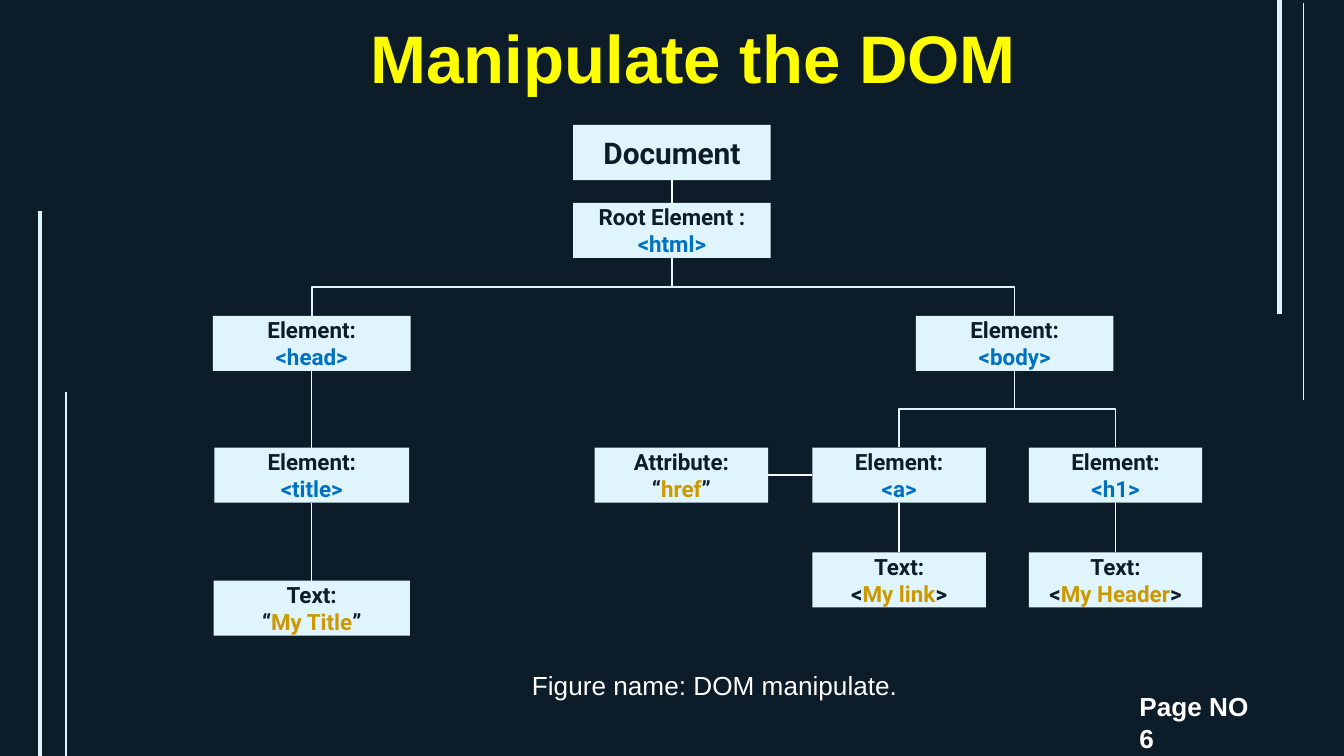
from dataclasses import dataclass

from lxml import etree
from pptx import Presentation
from pptx.dml.color import RGBColor
from pptx.enum import shapes, text
from pptx.oxml.ns import qn
from pptx.util import Inches, Pt


@dataclass(frozen=True)
class Theme:
    back: str = "0C1C29"
    pale: str = "E0F4FB"
    link: str = "F9F9F9"
    tag: str = "0070C0"
    value: str = "CC9900"
    head: str = "FFFF00"
    white: str = "FFFFFF"
    title: int = 36
    root: int = 16
    note: int = 14
    node: int = 12
    sans: str = "Arial"
    label: str = "Roboto"
    thick: float = 2.25
    thin: float = 0.75


T = Theme()
BOTTOM, LEFT, TOP, RIGHT = 2, 1, 0, 3
HIGH = 0.41

# name: (centre x, top, width, label, opening mark, coloured word, closing mark)
NODES = {
    "doc": (3.41, 0, 1.47, "Document", "", "", ""),
    "html": (3.41, 0.58, 1.47, "Root Element :", "", "<html>", ""),
    "head": (0.73, 1.42, 1.47, "Element:", "", "<head>", ""),
    "body": (5.96, 1.42, 1.47, "Element:", "", "<body>", ""),
    "title": (0.73, 2.4, 1.45, "Element:", "", "<title>", ""),
    "href": (3.48, 2.4, 1.29, "Attribute:", "“", "href", "”"),
    "a": (5.1, 2.4, 1.29, "Element:", "", "<a>", ""),
    "h1": (6.71, 2.4, 1.29, "Element:", "", "<h1>", ""),
    "name": (0.73, 3.39, 1.46, "Text:", "“", "My Title", "”"),
    "anchor": (5.1, 3.18, 1.29, "Text:", "<", "My link", ">"),
    "header": (6.71, 3.18, 1.29, "Text:", "<", "My Header", ">"),
}
STRAIGHT = [("doc", "html"), ("head", "title"), ("title", "name"),
            ("a", "anchor"), ("h1", "header")]
BENT = [("html", "head"), ("html", "body"), ("body", "a"), ("body", "h1")]


def rgb(code):
    return RGBColor.from_string(code)


def write(frame, *parts, size=T.note, font=T.sans, bold=False, align=None):
    """Add (text, colour) parts to one paragraph; a "\\n" text breaks the line."""
    para = frame.paragraphs[0]
    para.alignment = align
    for words, color in parts:
        if words == "\n":
            para.add_line_break()
        elif words:
            run = para.add_run()
            run.text = words
            run.font.size, run.font.name, run.font.bold = Pt(size), font, bold
            run.font.color.rgb = rgb(color)


def label(slide, box, words, color=T.white, **style):
    frame = slide.shapes.add_textbox(*map(Inches, box)).text_frame
    frame.word_wrap = True
    write(frame, (words, color), **style)


def draw(slide, kind, ends=(0, 0, 0, 0), color=T.pale, width=T.thin):
    line = slide.shapes.add_connector(kind, *map(Inches, ends))
    line.line.color.rgb = rgb(color)
    line.line.width = Pt(width)
    etree.SubElement(line.element.spPr, qn("a:effectLst"))
    return line


def join(slide, start, end, out=BOTTOM, into=TOP):
    line = draw(slide, shapes.MSO_CONNECTOR.STRAIGHT, color=T.link)
    line.begin_connect(start, out)
    line.end_connect(end, into)


def branch(slide, start, end):
    """Join two nodes by an elbow that leaves downwards, so its frame is turned."""
    line = draw(slide, shapes.MSO_CONNECTOR.ELBOW)
    line.begin_connect(start, BOTTOM)
    line.end_connect(end, TOP)
    x, y = line.begin_x, line.begin_y
    wide, high = line.end_x - x, line.end_y - y
    mid, half = x + wide // 2, y + high // 2
    line.left, line.top = mid - high // 2, half - abs(wide) // 2
    line.width, line.height = high, abs(wide)
    frame = line.element.spPr.find(qn("a:xfrm"))
    frame.set("rot", str((270 if wide > 0 else 90) * 60000))
    frame.set("flipH", "1" if wide > 0 else "0")
    frame.set("flipV", "0")


def node(slide, left, top, spot):
    mid, down, wide, name, start, word, close = spot
    box = slide.shapes.add_shape(
        shapes.MSO_SHAPE.RECTANGLE,
        *map(Inches, (left + mid - wide / 2, top + down, wide, HIGH)))
    box.shadow.inherit = False
    box.fill.solid()
    box.fill.fore_color.rgb = rgb(T.pale)
    box.line.fill.background()
    frame = box.text_frame
    frame.word_wrap = True
    frame.vertical_anchor = text.MSO_ANCHOR.MIDDLE
    frame.margin_left = frame.margin_right = Inches(0.1)
    frame.margin_top = frame.margin_bottom = Inches(0.1)
    parts = [(name, T.back)]
    if word:
        color = T.value if start else T.tag
        parts += [("\n", T.back), (start, T.back), (word, color), (close, T.back)]
    write(frame, *parts, size=T.node if word else T.root, font=T.label,
          bold=True, align=text.PP_ALIGN.CENTER)
    return box


def tree(slide, left, top):
    boxes = {name: node(slide, left, top, spot) for name, spot in NODES.items()}
    for start, end in STRAIGHT:
        join(slide, boxes[start], boxes[end])
    join(slide, boxes["href"], boxes["a"], RIGHT, LEFT)
    for start, end in BENT:
        branch(slide, boxes[start], boxes[end])


def rails(slide, wide, high):
    """Draw a thick and a thin upright at each side edge."""
    for x, top, end, width in [(wide - 0.48, 0, 2.34, T.thick),
                               (wide - 0.3, 0.02, 2.98, T.thin),
                               (0.3, 1.57, high, T.thick),
                               (0.49, 2.92, high, T.thin)]:
        draw(slide, shapes.MSO_CONNECTOR.STRAIGHT, (x, top, x, end), width=width)


def main():
    wide = 10
    high = wide * 9 / 16
    deck = Presentation()
    deck.slide_width, deck.slide_height = Inches(wide), Inches(high)
    slide = deck.slides.add_slide(deck.slide_layouts[6])
    slide.background.fill.solid()
    slide.background.fill.fore_color.rgb = rgb(T.back)
    rails(slide, wide, high)
    label(slide, (2.66, 0.07, 7.1, 0.71), "Manipulate the DOM", T.head,
          size=T.title, bold=True)
    tree(slide, 1.59, 0.93)
    label(slide, (3.86, 4.93, 2.99, 0.34), "Figure name: DOM manipulate.")
    label(slide, (8.38, 5.09, 1.16, 0.34), "Page NO 6", bold=True)
    deck.save("out.pptx")


if __name__ == "__main__":
    main()
